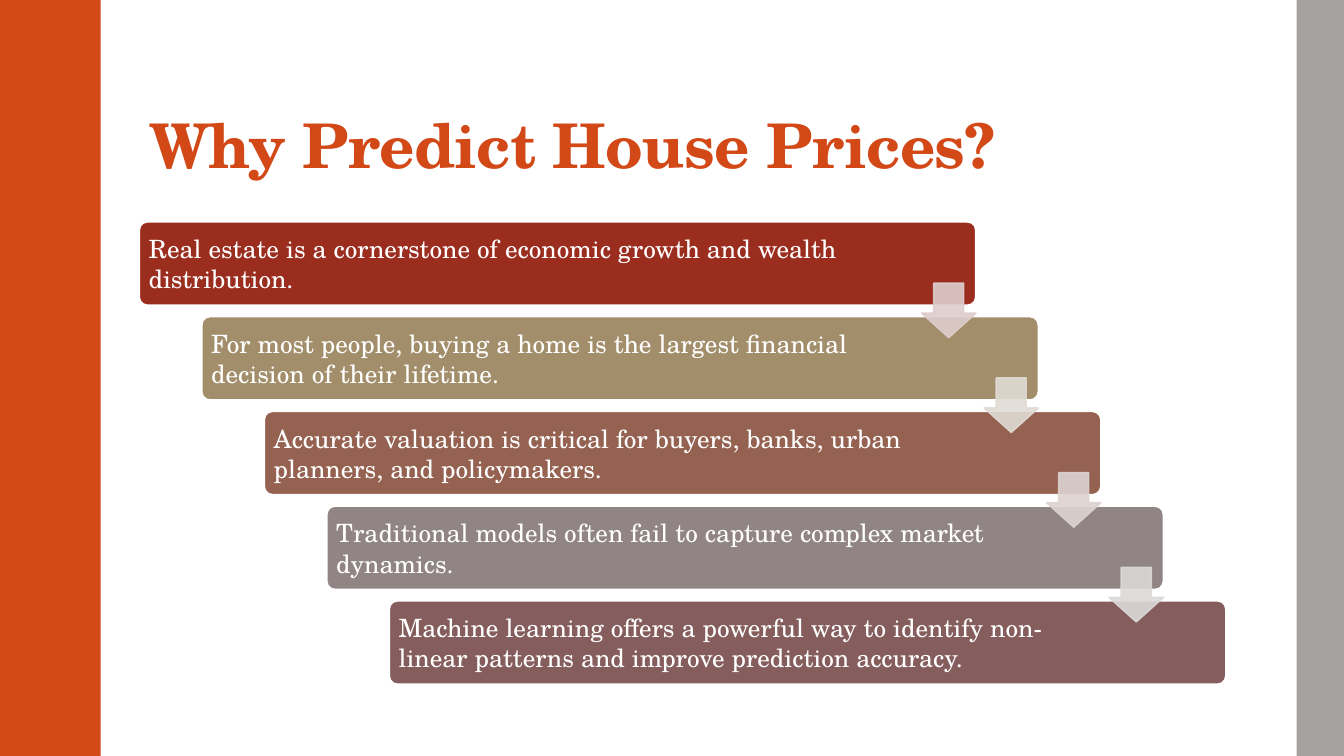
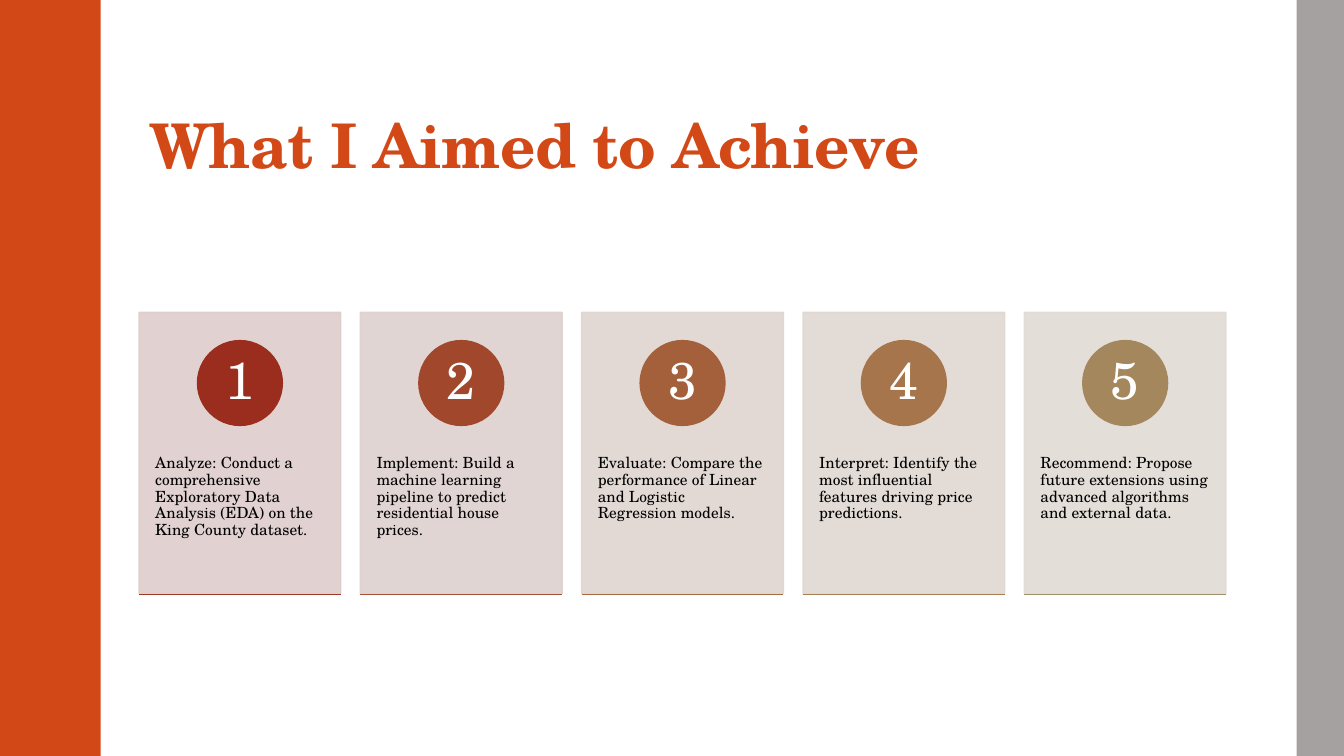
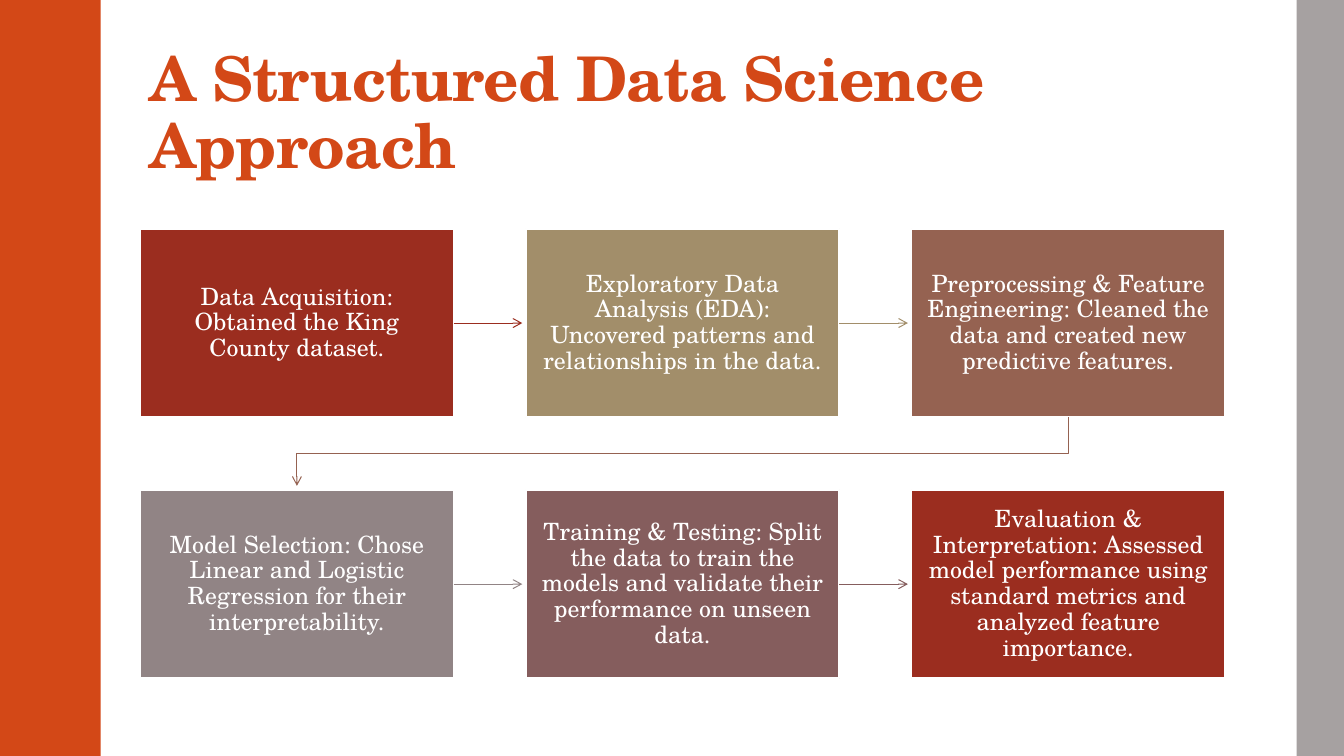
from lxml import etree
from pptx import Presentation
from pptx.dml.color import RGBColor
from pptx.enum.shapes import MSO_CONNECTOR, MSO_SHAPE
from pptx.enum.text import MSO_ANCHOR, MSO_AUTO_SIZE, PP_ALIGN
from pptx.oxml.ns import qn
from pptx.util import Inches, Pt

RECT, ROUND, OVAL, DOWN = (MSO_SHAPE.RECTANGLE, MSO_SHAPE.ROUNDED_RECTANGLE,
                           MSO_SHAPE.OVAL, MSO_SHAPE.DOWN_ARROW)
STRAIGHT = MSO_CONNECTOR.STRAIGHT
TOP, MIDDLE, BOTTOM = MSO_ANCHOR.TOP, MSO_ANCHOR.MIDDLE, MSO_ANCHOR.BOTTOM
LEFT, CENTER = PP_ALIGN.LEFT, PP_ALIGN.CENTER
NO_FIT = MSO_AUTO_SIZE.NONE

# Shared style
FONT = "TeX Gyre Schola"
ORANGE, GRAY, WHITE, BLACK = "D34817", "A6A1A1", "FFFFFF", "000000"
PALETTE = ["9B2D1F", "A28E6A", "956251", "918485", "855D5D"]
WIDTH, HEIGHT = 13.33, 7.5
TITLE_AT = (1.38, 0.32, 10.78, 1.53)
BANDS = [((0, 0, 1, HEIGHT), ORANGE), ((12.86, 0, 0.47, HEIGHT), GRAY)]

# Content
REASONS = [
    "Real estate is a cornerstone of economic growth and wealth distribution.",
    "For most people, buying a home is the largest financial decision of their lifetime.",
    "Accurate valuation is critical for buyers, banks, urban planners, and policymakers.",
    "Traditional models often fail to capture complex market dynamics.",
    "Machine learning offers a powerful way to identify non-linear patterns and "
    "improve prediction accuracy.",
]
REASON_ARROWS = ["DECDCD", "E0DBD4", "DDD3D0", "DCD9D9"]

# Text, card colour, circle colour, base line colour
GOALS = [
    ("Analyze: Conduct a comprehensive Exploratory Data Analysis (EDA) on the "
     "King County dataset.", "DECDCD", "9B2D1F", "9E3A25"),
    ("Implement: Build a machine learning pipeline to predict residential house prices.",
     "DED1CF", "A0472C", "A25333"),
    ("Evaluate: Compare the performance of Linear and Logistic Regression models.",
     "DFD5D1", "A45F3B", "A56B43"),
    ("Interpret: Identify the most influential features driving price predictions.",
     "DFD8D2", "A6754B", "A67F54"),
    ("Recommend: Propose future extensions using advanced algorithms and external data.",
     "E0DBD4", "A5875E", "A28E6A"),
]

STEPS = [
    "Data Acquisition: Obtained the King County dataset.",
    "Exploratory Data Analysis (EDA): Uncovered patterns and relationships in the data.",
    "Preprocessing & Feature Engineering: Cleaned the data and created new "
    "predictive features.",
    "Model Selection: Chose Linear and Logistic Regression for their interpretability.",
    "Training & Testing: Split the data to train the models and validate their "
    "performance on unseen data.",
    "Evaluation & Interpretation: Assessed model performance using standard metrics "
    "and analyzed feature importance.",
]


def color(value):
    return RGBColor.from_string(value)


def write(shape, text, size, ink, insets, anchor=MIDDLE, align=LEFT, spacing=0.9):
    frame = shape.text_frame
    frame.word_wrap = True
    frame.auto_size = NO_FIT
    frame.vertical_anchor = anchor
    (frame.margin_left, frame.margin_top,
     frame.margin_right, frame.margin_bottom) = map(Inches, insets)
    para = frame.paragraphs[0]
    para.alignment = align
    para.line_spacing = spacing
    span = para.add_run()
    span.text = text
    span.font.name = FONT
    span.font.size = Pt(size)
    span.font.color.rgb = color(ink)
    return span


def add_box(page, kind, at, fill, line=None, weight=1.1, opacity=None):
    box = page.shapes.add_shape(kind, *map(Inches, at))
    box.shadow.inherit = False
    box.fill.solid()
    box.fill.fore_color.rgb = color(fill)
    if line:
        box.line.color.rgb = color(line)
        box.line.width = Pt(weight)
    else:
        box.line.fill.background()
    if opacity:
        for tint in box.element.spPr.iter(qn("a:srgbClr")):
            etree.SubElement(tint, qn("a:alpha"), val=str(opacity * 1000))
    return box


def add_line(page, points, ink, weight=0.75, arrow=False):
    """Draw a straight connector, or an open outline if there are bends."""
    points = [(Inches(x), Inches(y)) for x, y in points]
    if len(points) == 2:
        line = page.shapes.add_connector(STRAIGHT, *points[0], *points[1])
    else:
        builder = page.shapes.build_freeform(*points[0])
        builder.add_line_segments(points[1:], close=False)
        line = builder.convert_to_shape()
        line.fill.background()
    line.line.color.rgb = color(ink)
    line.line.width = Pt(weight)
    properties = line.element.spPr
    etree.SubElement(properties, qn("a:effectLst"))
    if arrow:
        etree.SubElement(properties.find(qn("a:ln")), qn("a:tailEnd"), type="arrow")


def add_page(deck, heading):
    page = deck.slides.add_slide(deck.slide_layouts[5])
    title = page.shapes.title
    title.left, title.top, title.width, title.height = map(Inches, TITLE_AT)
    span = write(title, heading, 44, ORANGE, (0.1, 0.03, 0.1, 0.05), BOTTOM)
    span.font.bold = True
    span.font._element.set("spc", "-50")
    for at, fill in BANDS:
        add_box(page, RECT, at, fill)
    return page


def add_reasons(deck):
    page = add_page(deck, "Why Predict House Prices?")
    left, top, width, height = 1.38, 2.2, 8.3, 0.83
    step_x, step_y, arrow_size = 0.62, 0.94, 0.54
    for i, (text, fill) in enumerate(zip(REASONS, PALETTE)):
        bar = add_box(page, ROUND, (left + i * step_x, top + i * step_y, width, height),
                      fill, WHITE, 1.35)
        bar.adjustments[0] = 0.1
        write(bar, text, 18, WHITE, (0.07, 0.07, 1.23, 0.07), spacing=1.0)
    # Arrows lie over the right end of each bar and the next one
    for i, fill in enumerate(REASON_ARROWS):
        at = (left + i * step_x + width - arrow_size, top + i * step_y + 0.61,
              arrow_size, arrow_size)
        arrow = add_box(page, DOWN, at, fill, fill, opacity=90)
        arrow.adjustments[0], arrow.adjustments[1] = 0.55, 0.45


def add_goals(deck):
    page = add_page(deck, "What I Aimed to Achieve")
    top, width, height, circle_size = 3.1, 2, 2.79, 0.84
    for i, (text, card_fill, circle_fill, base) in enumerate(GOALS):
        left = 1.38 + i * 2.195
        card = add_box(page, RECT, (left, top, width, height), card_fill, card_fill,
                       opacity=90)
        write(card, text, 11, BLACK, (0.16, 1.42, 0.16, 0.36), TOP)
        circle = add_box(page, OVAL, (left + (width - circle_size) / 2, top + 0.28,
                                      circle_size, circle_size), circle_fill, circle_fill)
        write(circle, str(i + 1), 37, WHITE, (0.07, 0.01, 0.07, 0.01), align=CENTER)
        add_line(page, [(left, 5.9), (left + width, 5.9)], base, 1.1)


def add_steps(deck):
    page = add_page(deck, "A Structured Data Science Approach")
    columns, width, height, arrow_length = 3, 3.11, 1.87, 0.68
    spots = [(1.39 + i % columns * 3.825, 2.27 + i // columns * 2.59)
             for i in range(len(STEPS))]
    for i, (text, (left, top)) in enumerate(zip(STEPS, spots)):
        fill = PALETTE[i % len(PALETTE)]
        box = add_box(page, RECT, (left, top, width, height), fill, WHITE, 1.35)
        write(box, text, 17, WHITE, (0.15, 0.16, 0.15, 0.16), align=CENTER)
        if i == len(STEPS) - 1:
            break
        if (i + 1) % columns:
            start, middle = left + width, top + height / 2
            points = [(start, middle), (start + arrow_length, middle)]
        else:
            # Turn down to the first box of the next row
            start, end = left + width / 2, spots[i + 1][0] + width / 2
            bottom = top + height
            points = [(start, bottom), (start, bottom + 0.36),
                      (end, bottom + 0.36), (end, bottom + arrow_length)]
        add_line(page, points, fill, arrow=True)


def main():
    deck = Presentation()
    deck.slide_width, deck.slide_height = Inches(WIDTH), Inches(HEIGHT)
    add_reasons(deck)
    add_goals(deck)
    add_steps(deck)
    deck.save("out.pptx")


if __name__ == "__main__":
    main()
